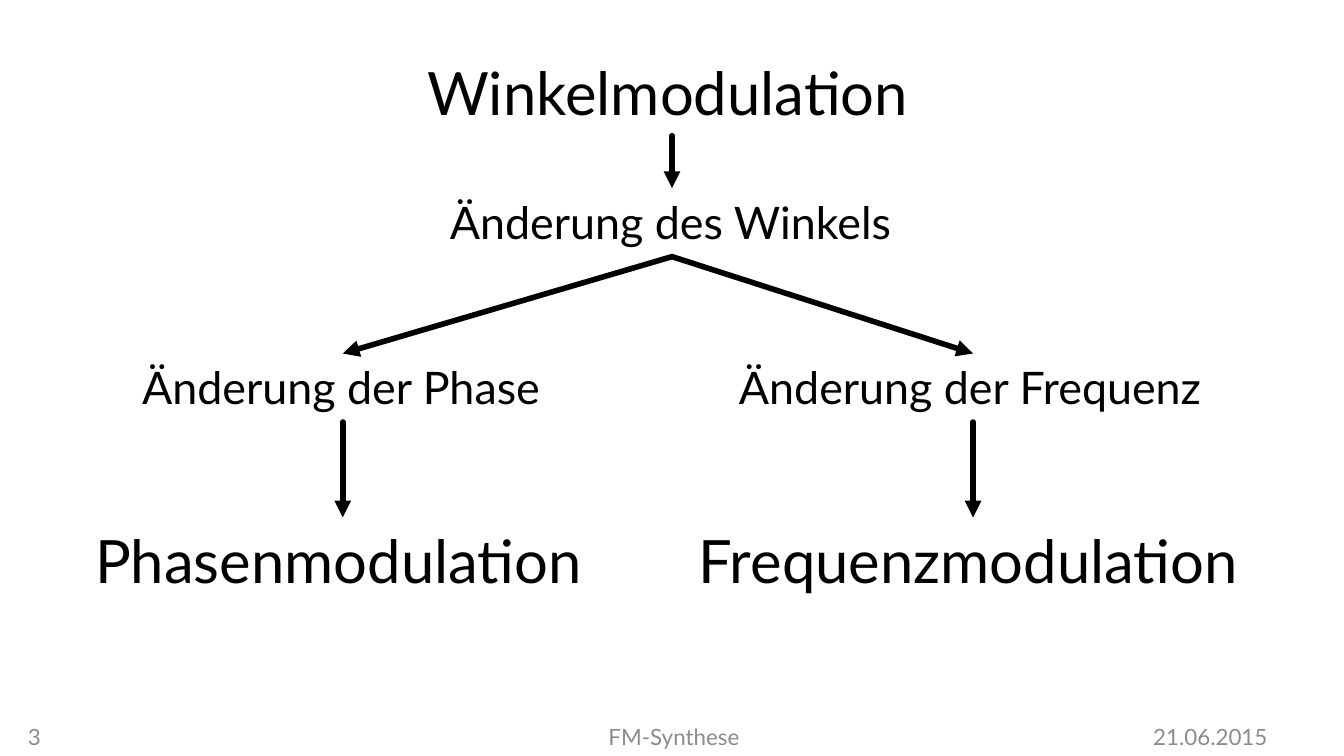
from lxml import etree
from pptx import Presentation
from pptx.dml.color import RGBColor
from pptx.enum import shapes, text
from pptx.oxml import ns
from pptx.util import Pt

BLACK, GREY = "000000", "8C8C8C"
LEFT, CENTER, RIGHT = text.PP_ALIGN.LEFT, text.PP_ALIGN.CENTER, text.PP_ALIGN.RIGHT


def rgb(value):
    return RGBColor.from_string(value)


def add_text(s, content, x, y, w, h, size=24, color=BLACK, align=LEFT,
             anchor=text.MSO_ANCHOR.TOP, wrap=False):
    tf = s.shapes.add_textbox(Pt(x), Pt(y), Pt(w), Pt(h)).text_frame
    tf.word_wrap = wrap
    tf.auto_size = text.MSO_AUTO_SIZE.NONE if wrap else text.MSO_AUTO_SIZE.SHAPE_TO_FIT_TEXT
    tf.vertical_anchor = anchor
    p = tf.paragraphs[0]
    p.alignment = align
    r = p.add_run()
    r.text = content
    r.font.name = "Lato"
    r.font.size = Pt(size)
    r.font.color.rgb = rgb(color)


prs = Presentation()
prs.slide_width, prs.slide_height = Pt(720), Pt(405)
s = prs.slides.add_slide(prs.slide_layouts[6])

# Footer: date, title, slide number
for content, x, w, align in [
    ("21.06.2015", 518.4, 167.8, RIGHT),
    ("FM-Synthese", 247, 228.2, CENTER),
    ("3", 0, 36.7, CENTER),
]:
    add_text(s, content, x, 383.8, w, 21.6, size=12, color=GREY, align=align,
             anchor=text.MSO_ANCHOR.MIDDLE, wrap=True)

# Kinds of modulation
for content, x, y, w in [
    ("Winkelmodulation", 221.8, 26.6, 276.5),
    ("Phasenmodulation", 43.9, 277.2, 278.6),
    ("Frequenzmodulation", 367.2, 277.2, 308.9),
]:
    add_text(s, content, x, y, w, 46, size=32)

# What each one changes
for content, x, y, w in [
    ("Änderung des Winkels", 234, 100.8, 252),
    ("Änderung der Phase", 69.1, 189.4, 229),
    ("Änderung der Frequenz", 388.8, 189.4, 265),
]:
    add_text(s, content, x, y, w, 36)

# Arrows: down the middle, out to both branches, down each branch
middle = 360
arrows = [(middle, 72.7, middle, 100.8)]
for branch in (183.6, 521.3):
    arrows += [(middle, 137.5, branch, 189.4), (branch, 226.1, branch, 277.2)]

for x1, y1, x2, y2 in arrows:
    sp = s.shapes.add_connector(shapes.MSO_CONNECTOR.STRAIGHT, Pt(x1), Pt(y1), Pt(x2), Pt(y2))
    sp.line.color.rgb = rgb(BLACK)
    sp.line.width = Pt(3)
    ln = sp.line._get_or_add_ln()
    ln.set("cap", "rnd")
    etree.SubElement(ln, ns.qn("a:round"))
    etree.SubElement(ln, ns.qn("a:tailEnd"), type="triangle")
    etree.SubElement(sp._element.spPr, ns.qn("a:effectLst"))

prs.save("out.pptx")
